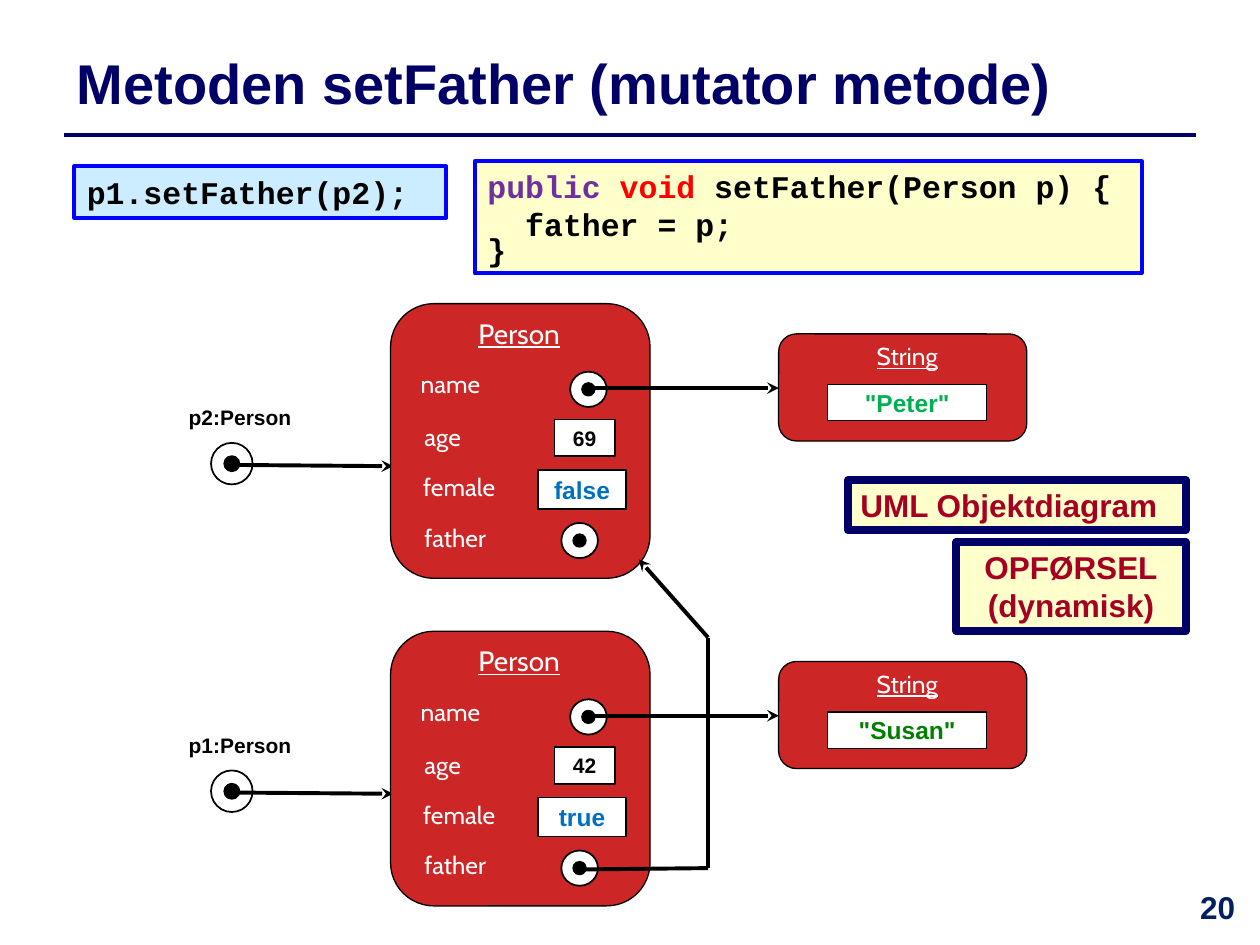
from lxml import etree
from pptx import Presentation
from pptx.dml.color import RGBColor
from pptx.enum.shapes import MSO_CONNECTOR, MSO_SHAPE
from pptx.enum.text import MSO_ANCHOR, PP_ALIGN
from pptx.oxml.ns import qn
from pptx.util import Inches, Pt

LEFT, CENTER = PP_ALIGN.LEFT, PP_ALIGN.CENTER
TOP, MIDDLE = MSO_ANCHOR.TOP, MSO_ANCHOR.MIDDLE
RECTANGLE, ROUNDED, OVAL = MSO_SHAPE.RECTANGLE, MSO_SHAPE.ROUNDED_RECTANGLE, MSO_SHAPE.OVAL
STRAIGHT = MSO_CONNECTOR.STRAIGHT

COLORS = {
    "navy": "000066", "number": "002060", "blue": "0000FF", "black": "000000",
    "white": "FFFFFF", "cream": "FFFFCC", "sky": "CCECFF", "object": "CD2626",
    "keyword": "7030A0", "type": "FF0000", "boolean": "0070C0",
    "peter": "00B050", "susan": "008000", "label": "A50021",
}


def rgb(name):
    return RGBColor.from_string(COLORS[name])


def write_text(shape, lines, size=14, font="Arial", color="black", bold=True,
               underline=False, align=LEFT, anchor=TOP, wrap=True, spacing=None):
    """Fill a shape with lines; a line is a string or a list of (text, color)."""
    frame = shape.text_frame
    frame.word_wrap = wrap
    frame.vertical_anchor = anchor
    for index, line in enumerate([lines] if isinstance(lines, str) else lines):
        paragraph = frame.paragraphs[0] if index == 0 else frame.add_paragraph()
        paragraph.alignment = align
        if spacing and index in spacing:
            paragraph.line_spacing = spacing[index]
        for text, run_color in [(line, color)] if isinstance(line, str) else line:
            run = paragraph.add_run()
            run.text = text
            run.font.size = Pt(size)
            run.font.name = font
            run.font.bold = bold
            run.font.underline = underline
            run.font.color.rgb = rgb(run_color)


def add_text(slide, box, lines, **text_format):
    shape = slide.shapes.add_textbox(*map(Inches, box))
    write_text(shape, lines, **text_format)


def add_box(slide, box, kind=RECTANGLE, fill="white", line="black", width=1,
            lines=None, **text_format):
    shape = slide.shapes.add_shape(kind, *map(Inches, box))
    shape.shadow.inherit = False
    shape.fill.solid()
    shape.fill.fore_color.rgb = rgb(fill)
    if line:
        shape.line.color.rgb = rgb(line)
        shape.line.width = Pt(width)
    else:
        shape.line.fill.background()
    if lines:
        write_text(shape, lines, **text_format)


def add_line(slide, start, end, color="black", width=2.25, arrow=False):
    connector = slide.shapes.add_connector(STRAIGHT, *map(Inches, (*start, *end)))
    connector.line.color.rgb = rgb(color)
    connector.line.width = Pt(width)
    if arrow:
        etree.SubElement(connector.line._get_or_add_ln(), qn("a:tailEnd"), type="stealth")
    etree.SubElement(connector._element.spPr, qn("a:effectLst"))


def add_reference(slide, x, y, width, height, dot):
    """A ring with a dot, centred on (x, y)."""
    add_box(slide, (x - width / 2, y - height / 2, width, height), OVAL)
    add_box(slide, (x - dot / 2, y - dot / 2, dot, dot), OVAL, fill="black")


def add_variable(slide, top, name):
    add_reference(slide, 1.84, top + 1.27, 0.33, 0.33, 0.12)
    add_line(slide, (1.83, top + 1.28), (3.12, top + 1.29), arrow=True)
    add_box(slide, (1.25, top + 0.73, 1.31, 0.34), line=None, lines=name,
            size=12, align=CENTER, anchor=MIDDLE, wrap=False)


def add_person(slide, top, age, female):
    add_box(slide, (3.1, top, 2.06, 2.18), ROUNDED, fill="object", width=0.75)
    cabin = {"font": "Cabin", "color": "white", "bold": False}
    add_text(slide, (3.63, top + 0.05, 0.98, 0.37), "Person", size=16,
             underline=True, align=CENTER, **cabin)
    fields = [("name", 3.24, 0.47), ("age", 3.27, 0.89),
              ("female", 3.26, 1.29), ("father", 3.27, 1.69)]
    for field, left, offset in fields:
        add_text(slide, (left, top + offset, 1.06, 0.33), field, **cabin)
    value = {"align": CENTER, "anchor": MIDDLE, "wrap": False}
    add_box(slide, (4.4, top + 0.92, 0.48, 0.29), lines=age, size=12, **value)
    add_box(slide, (4.27, top + 1.32, 0.7, 0.31), lines=female, color="boolean", **value)
    for x, offset in [(4.67, 0.68), (4.6, 1.88)]:
        add_reference(slide, x, top + offset, 0.29, 0.28, 0.1)


def add_string(slide, top, value, color):
    add_box(slide, (6.18, top + 0.24, 1.97, 0.85), ROUNDED, fill="object", width=0.75)
    add_text(slide, (6.49, top + 0.25, 1.42, 0.26), "String", font="Cabin",
             color="white", bold=False, underline=True, align=CENTER)
    add_box(slide, (6.57, top + 0.64, 1.26, 0.29), width=0.75, lines=value,
            color=color, align=CENTER, anchor=MIDDLE, wrap=False)
    add_line(slide, (4.7, top + 0.67), (6.18, top + 0.67), arrow=True)


def main():
    presentation = Presentation()
    presentation.slide_width, presentation.slide_height = Inches(10), Inches(7.5)
    slide = presentation.slides.add_slide(presentation.slide_layouts[6])

    # Title, rule and slide number
    add_line(slide, (0.51, 1.07), (9.49, 1.07), color="navy", width=2)
    add_text(slide, (0.51, 0.28, 8.98, 0.75), "Metoden setFather (mutator metode)",
             size=32, color="navy", anchor=MIDDLE)
    add_text(slide, (9.33, 7, 0.67, 0.5), "20", size=18, color="number", align=CENTER)

    # Call and method body
    code = {"line": "blue", "width": 2.25, "size": 18, "font": "Courier New"}
    add_box(slide, (0.59, 1.32, 2.95, 0.41), fill="sky", lines="p1.setFather(p2);", **code)
    signature = [("public ", "keyword"), ("void ", "type"),
                 ("setFather(Person p) {", "black")]
    add_box(slide, (3.77, 1.28, 5.29, 0.89), fill="cream",
            lines=[signature, "  father = p;", "}"], spacing={2: 0.6}, **code)

    # Object diagram: one row per person
    people = [
        (5.01, "p1:Person", "42", "true", '"Susan"', "susan"),
        (2.41, "p2:Person", "69", "false", '"Peter"', "peter"),
    ]
    for top, variable, age, female, name, name_color in people:
        add_variable(slide, top, variable)
        add_person(slide, top, age, female)
        add_string(slide, top, name, name_color)

    # Father reference from p1 to p2
    route = [(4.65, 6.9), (5.62, 6.89), (5.62, 5.06), (5.07, 4.44)]
    for start, end in zip(route, route[1:]):
        add_line(slide, start, end, arrow=end == route[-1])

    # Diagram labels
    label = {"fill": "cream", "line": "navy", "width": 4.5, "size": 18, "color": "label"}
    add_box(slide, (7.59, 4.3, 1.82, 0.71), lines=["OPFØRSEL", "(dynamisk)"],
            align=CENTER, **label)
    add_box(slide, (6.73, 3.81, 2.68, 0.4), lines="UML Objektdiagram", **label)

    presentation.save("out.pptx")


if __name__ == "__main__":
    main()
